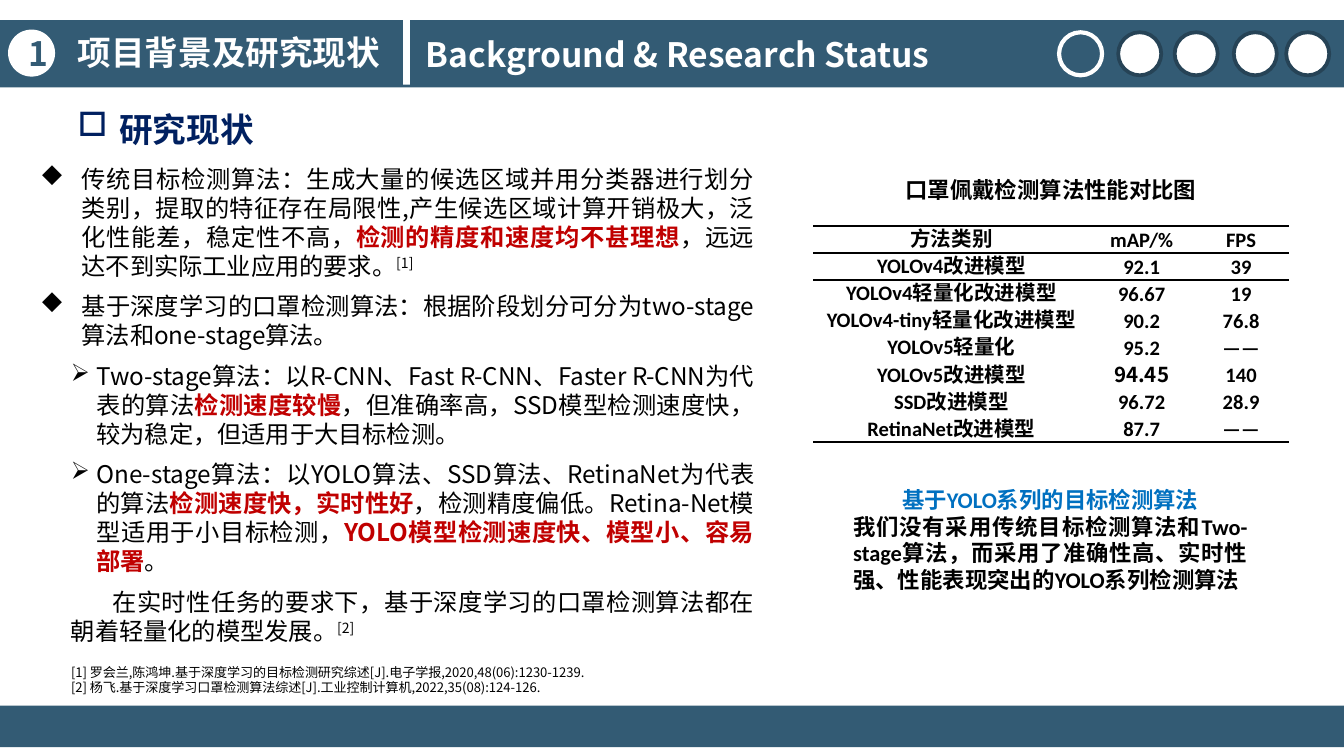
from dataclasses import dataclass

from lxml.etree import SubElement
from pptx import Presentation
from pptx.dml.color import RGBColor
from pptx.enum.shapes import MSO_SHAPE as Preset
from pptx.enum.text import MSO_ANCHOR as Anchor, MSO_AUTO_SIZE as AutoSize, PP_ALIGN as Align
from pptx.oxml import parse_xml
from pptx.oxml.ns import nsdecls, qn
from pptx.util import Pt

PX = 9144
PLAIN_TABLE = "{2D5ABB26-0587-4C30-8999-92F81FD0307C}"


@dataclass(frozen=True)
class Theme:
    band: str = "335B74"
    ring: str = "264356"
    white: str = "FFFFFF"
    ink: str = "000000"
    alert: str = "C00000"
    accent: str = "0070C0"
    navy: str = "002060"
    sans: str = "Noto Sans CJK SC"
    latin: str = "Calibri"
    symbol: str = "Wingdings"
    title: int = 18
    body: int = 13
    caption: int = 12
    cell: int = 11
    reference: int = 7


class SlideBuilder:
    def __init__(self, slide, theme):
        self.slide = slide
        self.theme = theme

    def shape(self, preset, box, fill=None, line=None, weight=0):
        shape = self.slide.shapes.add_shape(preset, *(n * PX for n in box))
        shape.shadow.inherit = False
        if fill:
            shape.fill.solid()
            shape.fill.fore_color.rgb = RGBColor.from_string(fill)
        else:
            shape.fill.background()
        if line:
            shape.line.color.rgb = RGBColor.from_string(line)
            shape.line.width = Pt(weight)
        else:
            shape.line.fill.background()
        return shape

    def run(self, paragraph, text, size, color, face, bold=False, raised=False):
        run = paragraph.add_run()
        run.text = text
        for name, value in {"size": Pt(size), "bold": bold, "name": face}.items():
            setattr(run.font, name, value)
        run.font.color.rgb = RGBColor.from_string(color)
        props = run.font._element
        SubElement(props, qn("a:ea")).set("typeface", self.theme.sans)
        if raised:
            props.set("baseline", "30000")

    def paragraph(self, paragraph, runs, size, face, pitch, align=Align.LEFT,
                  before=0, left=0, indent=0, bullet=None, level=0):
        layout = {"alignment": align, "level": level,
                  "line_spacing": Pt(pitch), "space_before": Pt(before)}
        for name, value in layout.items():
            setattr(paragraph, name, value)
        props = paragraph._p.get_or_add_pPr()
        props.set("marL", str(left * PX))
        props.set("indent", str(indent * PX))
        if bullet:
            SubElement(props, qn("a:buFont")).set("typeface", self.theme.symbol)
            SubElement(props, qn("a:buChar")).set("char", bullet)
        for text, color, *flags in runs:
            self.run(paragraph, text, size, color, face, *flags)

    def text(self, box, paragraphs, size, face, wrap=True):
        frame = self.slide.shapes.add_textbox(*(n * PX for n in box)).text_frame
        frame.word_wrap = wrap
        frame.auto_size = AutoSize.SHAPE_TO_FIT_TEXT
        for index, (runs, style) in enumerate(paragraphs):
            target = frame.add_paragraph() if index else frame.paragraphs[0]
            self.paragraph(target, runs, size, face, **style)

    def rule(self, cell, sides):
        for side in sorted(sides):
            cell._tc.get_or_add_tcPr().insert(0, parse_xml(
                f'<a:ln{side} {nsdecls("a")} w="12700"><a:solidFill>'
                f'<a:srgbClr val="{self.theme.ink}"/></a:solidFill></a:ln{side}>'))

    def table(self, box, widths, rows, rules, faces):
        table = self.slide.shapes.add_table(
            len(rows), len(widths), *(n * PX for n in box)).table
        table.first_row = table.horz_banding = False
        table._tbl.tblPr.find(qn("a:tableStyleId")).text = PLAIN_TABLE
        for column, width in zip(table.columns, widths):
            column.width = width * PX
        for r, values in enumerate(rows):
            table.rows[r].height = box[3] * PX // len(rows)
            for c, value in enumerate(values):
                cell = table.cell(r, c)
                layout = {"margin_left": PX, "margin_right": PX, "margin_top": PX,
                          "margin_bottom": 0,
                          "vertical_anchor": Anchor.BOTTOM if c == 1 else Anchor.MIDDLE}
                for name, setting in layout.items():
                    setattr(cell, name, setting)
                cell.fill.background()
                self.paragraph(cell.text_frame.paragraphs[0],
                               [(value, self.theme.ink, True)], self.theme.cell,
                               faces.get(value, self.theme.latin), 13.6, Align.CENTER)
                self.rule(cell, rules.get(r, ""))


def add_header(page, theme):
    page.shape(Preset.RECTANGLE, (0, 15, 1000, 50), theme.band)
    page.shape(Preset.OVAL, (788, 24, 32, 32), None, theme.white, 2.25)
    for left in (832, 874, 918, 957):
        page.shape(Preset.OVAL, (left, 24, 32, 32), theme.white, theme.ring, 2)
    badge = page.shape(Preset.OVAL, (6, 22, 35, 35), theme.white).text_frame
    badge.vertical_anchor = Anchor.MIDDLE
    page.paragraph(badge.paragraphs[0], [("1", theme.band, True)],
                   theme.title, theme.sans, 21.6, Align.CENTER)
    for box, title, wrap in (((48, 19, 318, 40), "项目背景及研究现状", True),
                             ((307, 20, 409, 40), "Background & Research Status", False)):
        page.text(box, [([(title, theme.white, True)], {"pitch": 21.6})],
                  theme.title, theme.sans, wrap)
    page.shape(Preset.RECTANGLE, (300, 15, 5, 48), theme.white)
    page.shape(Preset.RECTANGLE, (0, 525, 1000, 31), theme.band)


def add_findings(page, theme):
    ink, alert = theme.ink, theme.alert
    base = {"pitch": 15.6, "align": Align.JUSTIFY}
    spaced = {**base, "before": 6}
    topic = {"left": 33, "indent": -31, "bullet": "u"}
    stage = {**spaced, "left": 44, "indent": -19, "bullet": "Ø", "level": 1}
    outlook = {**spaced, "left": 25, "indent": 31, "level": 1}
    page.text((18, 117, 553, 372), [
        ([("传统目标检测算法：生成大量的候选区域并用分类器进行划分类别，提取的特征存在局限性,"
           "产生候选区域计算开销极大，泛化性能差，稳定性不高，", ink),
          ("检测的精度和速度均不甚理想", alert, True),
          ("，远远达不到实际工业应用的要求。", ink), ("[1]", ink, False, True)],
         {**base, **topic}),
        ([("基于深度学习的口罩检测算法：根据阶段划分可分为two-stage算法和one-stage算法。", ink)],
         {**spaced, **topic}),
        ([("Two-stage算法：以R-CNN、Fast R-CNN、Faster R-CNN为代表的算法", ink),
          ("检测速度较慢", alert, True),
          ("，但准确率高，SSD模型检测速度快，较为稳定，但适用于大目标检测。", ink)], stage),
        ([("One-stage算法：以YOLO算法、SSD算法、RetinaNet为代表的算法", ink),
          ("检测速度快，实时性好", alert, True),
          ("，检测精度偏低。Retina-Net模型适用于小目标检测，", ink),
          ("YOLO模型检测速度快、模型小、容易部署", alert, True), ("。", ink)], stage),
        ([("在实时性任务的要求下，基于深度学习的口罩检测算法都在朝着轻量化的模型发展。", ink),
          ("[2]", ink, False, True)], outlook),
    ], theme.body, theme.sans)
    references = (
        "[1] 罗会兰,陈鸿坤.基于深度学习的目标检测研究综述[J].电子学报,2020,48(06):1230-1239.",
        "[2] 杨飞.基于深度学习口罩检测算法综述[J].工业控制计算机,2022,35(08):124-126.")
    page.text((43, 490, 502, 34), [([(entry, ink)], {"pitch": 8}) for entry in references],
              theme.reference, theme.sans)
    page.text((48, 76, 318, 40),
              [([("研究现状", theme.navy, True)],
                {"pitch": 21.6, "left": 31, "indent": -31, "bullet": "o"})],
              theme.title, theme.sans)


def add_comparison(page, theme):
    page.text((605, 126, 354, 30),
              [([("口罩佩戴检测算法性能对比图", theme.ink, True)],
                {"pitch": 14.3, "align": Align.CENTER})], theme.caption, theme.latin)
    scores = [
        ("方法类别", "mAP/%", "FPS"),
        ("YOLOv4改进模型", "92.1", "39"),
        ("YOLOv4轻量化改进模型", "96.67", "19"),
        ("YOLOv4-tiny轻量化改进模型", "90.2", "76.8"),
        ("YOLOv5轻量化", "95.2", "——"),
        ("YOLOv5改进模型", "94.45", "140"),
        ("SSD改进模型", "96.72", "28.9"),
        ("RetinaNet改进模型", "87.7", "——"),
    ]
    page.table((605, 168, 354, 161), (206, 77, 71), scores,
               {0: "BT", 1: "BT", len(scores) - 1: "B"}, {"94.45": theme.sans})
    page.text((625, 337, 313, 111), [
        ([("基于YOLO系列的目标检测算法", theme.accent, True)],
         {"pitch": 28.6, "align": Align.CENTER}),
        ([("我们没有采用传统目标检测算法和Two-stage算法，而采用了准确性高、实时性强、"
           "性能表现突出的YOLO系列检测算法", theme.ink, True)],
         {"pitch": 14.3, "align": Align.JUSTIFY}),
    ], theme.caption, theme.latin)


def main():
    deck = Presentation()
    deck.slide_width, deck.slide_height = 1000 * PX, 1000 * PX * 9 // 16
    theme = Theme()
    page = SlideBuilder(deck.slides.add_slide(deck.slide_layouts[6]), theme)
    add_header(page, theme)
    add_findings(page, theme)
    add_comparison(page, theme)
    deck.save("out.pptx")


if __name__ == "__main__":
    main()
